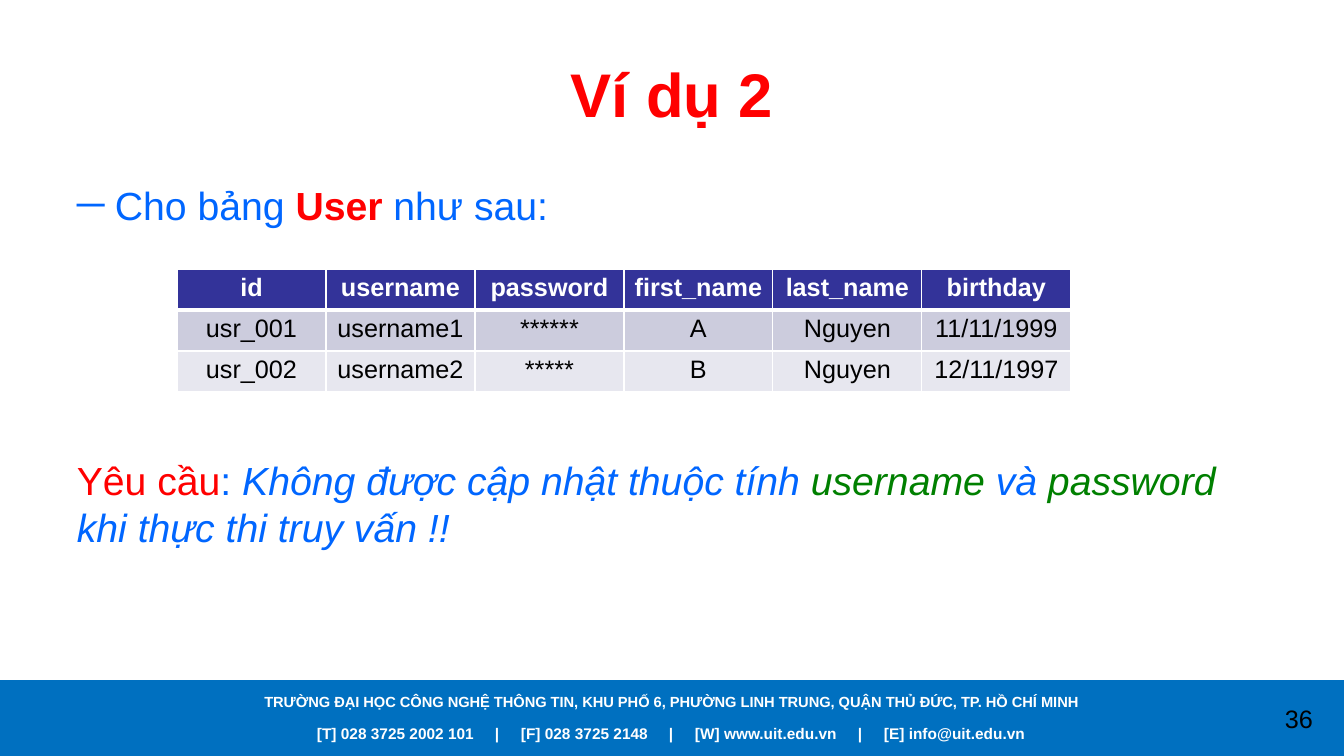
"""Builds the "Ví dụ 2" slide: a User table, a requirement and a contact footer."""
import lxml.etree
import pptx
import pptx.dml.color
import pptx.enum.shapes
import pptx.enum.text
import pptx.oxml.ns
import pptx.util

FONT = "Arial"
WHITE, BLACK, RED, BLUE, GREEN = "FFFFFF", "000000", "FF0000", "0066FF", "008000"
FOOTER_BLUE, HEADER_FILL = "0070C0", "333399"
ROW_FILLS = ["CCCCDD", "E7E7EF"]

TITLE = [("Ví dụ 2", RED, "b")]
INTRO = [("Cho bảng ", BLUE, ""), ("User", RED, "b"), (" như sau:", BLUE, "")]
REQUIREMENT = [
    ("Yêu cầu", RED, ""),
    (": ", BLUE, ""),
    ("Không được cập nhật thuộc tính ", BLUE, "i"),
    ("username", GREEN, "i"),
    (" và ", BLUE, "i"),
    ("password", GREEN, "i"),
    (" khi thực thi truy vấn !!", BLUE, "i"),
]
USERS = [
    ["id", "username", "password", "first_name", "last_name", "birthday"],
    ["usr_001", "username1", "******", "A", "Nguyen", "11/11/1999"],
    ["usr_002", "username2", "*****", "B", "Nguyen", "12/11/1997"],
]
ADDRESS = [("TRƯỜNG ĐẠI HỌC CÔNG NGHỆ THÔNG TIN, KHU PHỐ 6, PHƯỜNG LINH TRUNG, "
            "QUẬN THỦ ĐỨC, TP. HỒ CHÍ MINH", WHITE, "b")]
CONTACTS = ["[T] 028 3725 2002 101", "[F] 028 3725 2148",
            "[W] www.uit.edu.vn", "[E] info@uit.edu.vn"]
CONTACT_BARS = [180, 354, 543]
BAR_GAP = 24
PAGE_NUMBER = [("36", BLACK, "")]

SLIDE_W, SLIDE_H = 1344, 756
TABLE_LEFT, TABLE_TOP, COLUMN_W, ROW_H = 177, 269, 149, 41
CENTER = pptx.enum.text.PP_ALIGN.CENTER
LEFT = pptx.enum.text.PP_ALIGN.LEFT


def px(length):
    return pptx.util.Emu(round(length * 914400 / 100.8))


def color(hex_code):
    return pptx.dml.color.RGBColor.from_string(hex_code)


def child(parent, tag, **attributes):
    element = lxml.etree.SubElement(parent, pptx.oxml.ns.qn(tag))
    for name, value in attributes.items():
        element.set(name, str(value))
    return element


def write(paragraph, runs, size, align):
    paragraph.alignment = align
    for text, hex_code, style in runs:
        run = paragraph.add_run()
        run.text = text
        run.font.name = FONT
        run.font.size = pptx.util.Pt(size)
        run.font.bold = "b" in style
        run.font.italic = "i" in style
        run.font.color.rgb = color(hex_code)


def add_text(slide, box, runs, size, align=CENTER):
    frame = slide.shapes.add_textbox(*map(px, box)).text_frame
    frame.word_wrap = True
    write(frame.paragraphs[0], runs, size, align)
    return frame


def add_footer(slide):
    band = slide.shapes.add_shape(pptx.enum.shapes.MSO_SHAPE.RECTANGLE,
                                  *map(px, (0, 680, SLIDE_W, 76)))
    band.shadow.inherit = False
    band.fill.solid()
    band.fill.fore_color.rgb = color(FOOTER_BLUE)
    band.line.fill.background()
    add_text(slide, (0, 688, SLIDE_W, 28), ADDRESS, 10.5)
    contact_line = [("\t|\t".join(CONTACTS), WHITE, "b")]
    contacts = add_text(slide, (307, 719, 740, 29), contact_line, 11, LEFT)
    tabs = child(contacts.paragraphs[0]._p.get_or_add_pPr(), "a:tabLst")
    for bar in CONTACT_BARS:
        child(tabs, "a:tab", pos=px(bar), algn="ctr")
        child(tabs, "a:tab", pos=px(bar + BAR_GAP), algn="l")
    add_text(slide, (1254, 698, 90, 40), PAGE_NUMBER, 18)


def add_body(slide):
    body = add_text(slide, (67, 176, 1210, 499), INTRO, 28, LEFT)
    properties = body.paragraphs[0]._p.get_or_add_pPr()
    properties.set("marL", str(px(38)))
    properties.set("indent", str(px(-38)))
    child(child(properties, "a:buClr"), "a:srgbClr", val=BLUE)
    child(properties, "a:buFont", typeface=FONT)
    child(properties, "a:buChar", char="─")
    requirement = body.add_paragraph()
    requirement.space_before = pptx.util.Pt(163)
    write(requirement, REQUIREMENT, 28, LEFT)


def set_borders(cell, widths):
    properties = cell._tc.get_or_add_tcPr()
    for side, width in zip("LRTB", widths):
        line = child(properties, "a:ln" + side, w=pptx.util.Pt(width))
        child(child(line, "a:solidFill"), "a:srgbClr", val=WHITE)


def add_users(slide):
    rows, columns = len(USERS), len(USERS[0])
    table = slide.shapes.add_table(rows, columns, px(TABLE_LEFT), px(TABLE_TOP),
                                   px(COLUMN_W * columns), px(ROW_H * rows)).table
    for column in table.columns:
        column.width = px(COLUMN_W)
    for index, values in enumerate(USERS):
        table.rows[index].height = px(ROW_H)
        header = index == 0
        fill = HEADER_FILL if header else ROW_FILLS[(index - 1) % 2]
        text_style = (WHITE, "b") if header else (BLACK, "")
        widths = (1, 1, 3 if index == 1 else 1, 3 if header else 1)
        for cell, value in zip(table.rows[index].cells, values):
            set_borders(cell, widths)
            cell.fill.solid()
            cell.fill.fore_color.rgb = color(fill)
            write(cell.text_frame.paragraphs[0], [(value, *text_style)], 18, CENTER)


def main():
    deck = pptx.Presentation()
    deck.slide_width, deck.slide_height = px(SLIDE_W), px(SLIDE_H)
    slide = deck.slides.add_slide(deck.slide_layouts[6])
    add_footer(slide)
    title = add_text(slide, (67, 30, 1210, 126), TITLE, 44)
    title.vertical_anchor = pptx.enum.text.MSO_ANCHOR.MIDDLE
    add_body(slide)
    add_users(slide)
    deck.save("out.pptx")


if __name__ == "__main__":
    main()
